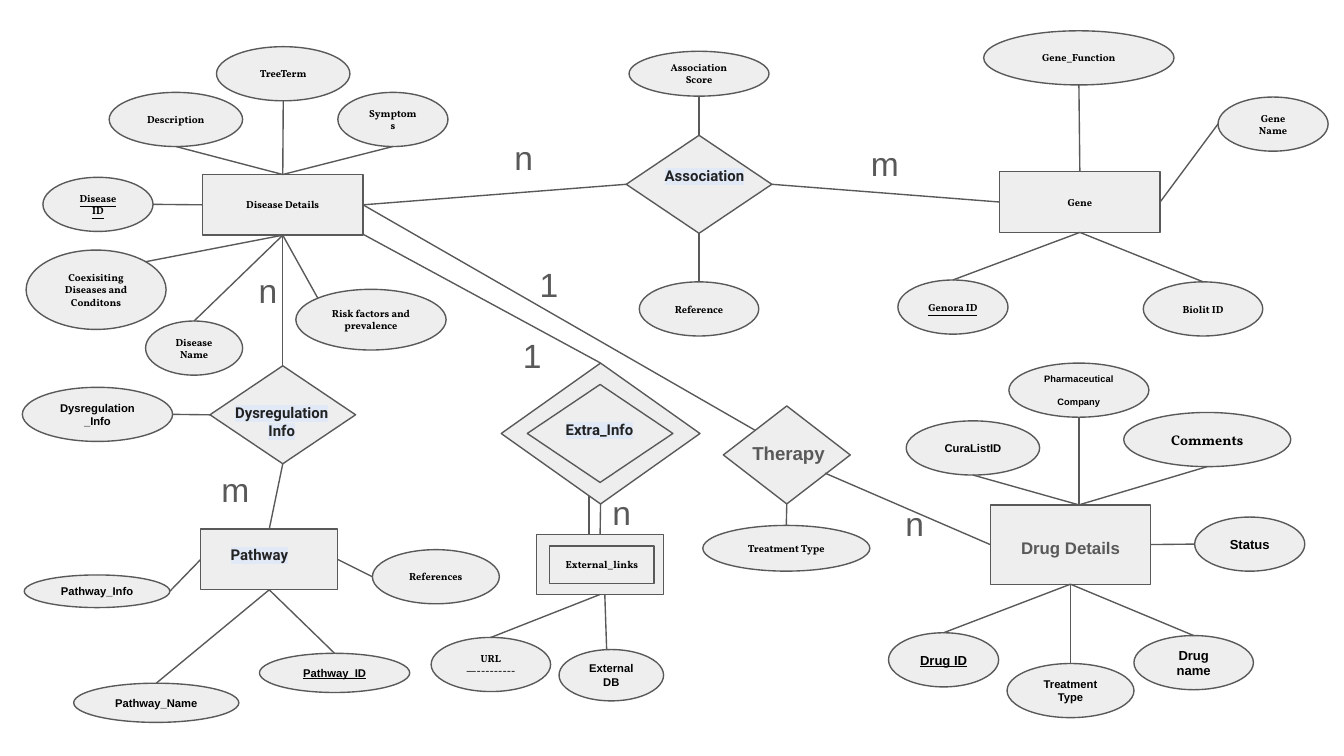
"""Build an entity-relationship diagram slide of disease, gene, pathway and drug data."""
from dataclasses import dataclass

from lxml.etree import SubElement
from pptx import Presentation
from pptx.dml.color import RGBColor
from pptx.enum.shapes import MSO_CONNECTOR, MSO_SHAPE
from pptx.enum.text import MSO_ANCHOR, PP_ALIGN
from pptx.oxml import parse_xml
from pptx.oxml.ns import nsdecls, qn
from pptx.util import Pt


@dataclass
class Theme:
    fill: str = "EEEEEE"
    edge: str = "595959"
    ink: str = "000000"
    dark: str = "222222"
    glow: str = "E1E9F7"
    serif: str = "Vollkorn"
    sans: str = "Arial"
    label: str = "Roboto"
    tiny: float = 5
    small: float = 5.5
    plain: float = 6
    mid: float = 7
    note: float = 7.5
    tie: float = 8
    drug: float = 9
    cure: float = 10
    count: float = 18


theme = Theme()


def write(shape, text, font=theme.serif, size=theme.small, color=theme.ink, bold=True,
          under=False, mark=None, align=PP_ALIGN.CENTER, anchor=MSO_ANCHOR.MIDDLE,
          gap=0, left=7.2):
    frame = shape.text_frame
    frame.word_wrap = True
    frame.vertical_anchor = anchor
    frame.margin_left = Pt(left)
    frame.margin_top = frame.margin_right = frame.margin_bottom = Pt(7.2)
    for row, line in enumerate(text.split("\n")):
        para = frame.add_paragraph() if row else frame.paragraphs[0]
        para.alignment = align
        if row and gap:
            para.space_before = Pt(gap)
        run = para.add_run()
        run.text = line
        face = run.font
        face.name, face.size, face.bold = font, Pt(size), bold
        face.underline = True if under else None
        face.color.rgb = RGBColor.from_string(color)
        if mark:
            fill = run._r.rPr.find(qn("a:solidFill"))
            fill.addnext(parse_xml(
                f'<a:highlight {nsdecls("a")}><a:srgbClr val="{mark}"/></a:highlight>'))


sides = {"top": (0.5, 0), "left": (0, 0.5), "bottom": (0.5, 1), "right": (1, 0.5),
         "upleft": (0.146, 0.146), "upright": (0.854, 0.146)}
sites = list(sides)[:4]


def spot(end):
    if not isinstance(end[0], str):
        return [Pt(n) for n in end]
    node, (across, down) = nodes[end[0]], sides[end[1]]
    return [int(node.left + across * node.width), int(node.top + down * node.height)]


deck = Presentation()
deck.slide_width, deck.slide_height = Pt(720), Pt(405)
slide = deck.slides.add_slide(deck.slide_layouts[6])

box, tie, oval = MSO_SHAPE.RECTANGLE, MSO_SHAPE.FLOWCHART_DECISION, MSO_SHAPE.FLOWCHART_CONNECTOR
sans = dict(font=theme.sans, size=theme.plain)
large = dict(font=theme.sans, size=theme.mid)
key = dict(under=True)

parts = [
    ("disease", box, 108.5, 93.5, 86, 32.5, "Disease Details", {}),
    ("gene", box, 535.5, 92, 86, 32.5, "Gene", {}),
    ("links", box, 287.5, 286.5, 68, 32, "", {}),
    ("inner links", box, 294.5, 292.5, 56, 20, "External_links", {}),
    ("drug", box, 530.5, 270.5, 86, 42.5, "", {}),
    ("pathway", box, 107.5, 283.5, 73.5, 32.5, "", {}),
    ("linked", tie, 335.5, 72.5, 78, 52.5, "", {}),
    ("extra", tie, 268.5, 194.5, 106.5, 75.5, "", {}),
    ("inner extra", tie, 282.5, 206, 78, 52.5, "", {}),
    ("therapy", MSO_SHAPE.DIAMOND, 387.5, 217.5, 68, 52.5, "", {}),
    ("change", tie, 112.5, 196, 78, 52.5, "", {}),
    ("name", oval, 78, 172, 52, 29, "Disease\nName", {}),
    ("id", oval, 23, 95, 59, 29, "Disease\nID", key),
    ("symptoms", oval, 181, 49.5, 59, 29, "Symptoms", {}),
    ("others", oval, 14, 134, 75, 42.5, "Coexisiting Diseases and Conditons", {}),
    ("risk", oval, 158.5, 155, 80.5, 32.5, "Risk factors and prevalence", {}),
    ("term", oval, 116, 25, 71.5, 29, "TreeTerm", {}),
    ("about", oval, 58.5, 49.5, 71.5, 29, "Description", {}),
    ("source", oval, 342.5, 151, 64, 29, "Reference", {}),
    ("score", oval, 337, 27.5, 75, 24, "Association\nScore", {}),
    ("gene id", oval, 481, 150, 59, 29, "Genora ID", key),
    ("gene name", oval, 652.5, 52, 59, 29, "Gene Name", {}),
    ("paper id", oval, 612.5, 151, 64, 29, "Biolit ID", {}),
    ("role", oval, 527, 16.5, 102, 29, "Gene_Function", {}),
    ("url", oval, 231, 341.5, 64, 29, "URL\n—---------", {}),
    ("base", oval, 299.5, 348, 56, 27.5, "External\nDB", sans),
    ("cure", oval, 376.5, 281.5, 89.5, 24.5, "Treatment Type", {}),
    ("drug id", oval, 476, 339, 59, 29, "Drug ID", large | key),
    ("drug name", oval, 607.5, 340.5, 64, 29, "Drug name", large),
    ("drug type", oval, 539.5, 355.5, 68, 29, "Treatment\nType", sans),
    ("status", oval, 640, 277, 59, 29, "Status", large),
    ("comments", oval, 602, 221, 89.5, 29, "Comments", dict(size=theme.note)),
    ("store id", oval, 485.5, 225.5, 71.5, 29, "CuraListID", sans),
    ("maker", oval, 540.5, 194.5, 75, 29, "Pharmaceutical\nCompany",
     dict(font=theme.sans, size=theme.tiny, gap=6.5)),
    ("path name", oval, 39.5, 366, 88.5, 21, "Pathway_Name", sans),
    ("path id", oval, 139, 350, 80.5, 21, "Pathway_ID", sans | key),
    ("path info", oval, 13, 308, 78, 17.5, "Pathway_Info", sans),
    ("change info", oval, 12, 207.5, 80.5, 29, "Dysregulation_Info", sans),
    ("papers", oval, 199.5, 294.5, 68, 29, "References", {}),
]
nodes = {}
for name, kind, x, y, wide, high, text, style in parts:
    node = slide.shapes.add_shape(kind, Pt(x), Pt(y), Pt(wide), Pt(high))
    node.shadow.inherit = False
    node.fill.solid()
    node.fill.fore_color.rgb = RGBColor.from_string(theme.fill)
    node.line.color.rgb = RGBColor.from_string(theme.edge)
    node.line.width = Pt(0.75)
    if text:
        write(node, text, **style)
    nodes[name] = node

crown = (578, 270.5)
joins = [
    (("about", "bottom"), ("disease", "top")),
    (("term", "bottom"), ("disease", "top")),
    (("symptoms", "bottom"), ("disease", "top")),
    (("disease", "bottom"), ("risk", "upleft")),
    (("disease", "bottom"), ("name", "top")),
    (("disease", "bottom"), ("others", "upright")),
    (("disease", "left"), ("id", "right")),
    (("disease", "right"), ("linked", "left")),
    (("disease", "right"), (404.5, 230.5)),
    ((194.5, 125.5), ("extra", "top")),
    (("disease", "bottom"), ("change", "top")),
    (("score", "bottom"), ("linked", "top")),
    (("linked", "bottom"), ("source", "top")),
    (("linked", "right"), ("gene", "left")),
    (("gene", "right"), ("gene name", "left")),
    (("gene", "bottom"), ("gene id", "top")),
    (("gene", "bottom"), ("paper id", "top")),
    (("role", "bottom"), ("gene", "top")),
    (("extra", "bottom"), ("links", "top")),
    ((315.5, 265.5), (315.5, 286.5)),
    (("links", "bottom"), ("url", "top")),
    ((324, 318.5), (325, 348)),
    (("therapy", "bottom"), ("cure", "top")),
    ((442, 253.5), ("drug", "left")),
    (("drug", "bottom"), ("drug id", "top")),
    (("drug", "bottom"), ("drug name", "top")),
    (("drug", "bottom"), ("drug type", "top")),
    (("drug", "right"), ("status", "left")),
    (("comments", "bottom"), crown),
    (("store id", "bottom"), crown),
    (("maker", "bottom"), crown),
    (("change info", "right"), ("change", "left")),
    (("change", "bottom"), ("pathway", "top")),
    (("pathway", "bottom"), ("path name", "top")),
    (("pathway", "bottom"), ("path id", "top")),
    (("pathway", "right"), ("papers", "left")),
    (("pathway", "left"), ("path info", "right")),
]
for start, end in joins:
    line = slide.shapes.add_connector(MSO_CONNECTOR.STRAIGHT, *spot(start), *spot(end))
    line.line.color.rgb = RGBColor.from_string(theme.edge)
    line.line.width = Pt(0.75)
    SubElement(line._element.spPr, qn("a:effectLst"))
    for point, join in ((start, line.begin_connect), (end, line.end_connect)):
        if point[0] in nodes and nodes[point[0]].auto_shape_type != oval:
            join(nodes[point[0]], sites.index(point[1]))

lit = dict(font=theme.label, size=theme.tie, color=theme.dark, mark=theme.glow)
grey = dict(font=theme.sans, color=theme.edge)
count = grey | dict(size=theme.count, bold=False)
notes = [
    (349, 84.5, 64, 24.5, "Association", lit),
    (296, 220.5, 64, 24.5, "Extra_Info", lit),
    (116.5, 209, 69, 34, "Dysregulation\nInfo", lit | dict(align=PP_ALIGN.CENTER)),
    (116.5, 287.5, 52, 24.5, "Pathway", lit),
    (396, 230.5, 63.5, 26.5, "Therapy", grey | dict(size=theme.cure)),
    (530.5, 282.5, 86, 25, "Drug Details", grey | dict(size=theme.drug, left=16.5)),
    (268.5, 71, 14.5, 9.5, "n", count),
    (459.5, 74.5, 14.5, 9.5, "m", count),
    (282, 134, 24, 36, "1", count),
    (273, 172, 24, 36, "1", count),
    (321, 256.5, 47.5, 36, "n", count),
    (478, 267, 14.5, 9.5, "n", count),
    (131.5, 142.5, 14.5, 9.5, "n", count),
    (111.5, 244, 31.5, 29, "m", count),
]
for x, y, wide, high, text, style in notes:
    note = slide.shapes.add_textbox(Pt(x), Pt(y), Pt(wide), Pt(high))
    write(note, text, **dict(align=PP_ALIGN.LEFT, anchor=MSO_ANCHOR.TOP) | style)

deck.save("out.pptx")
